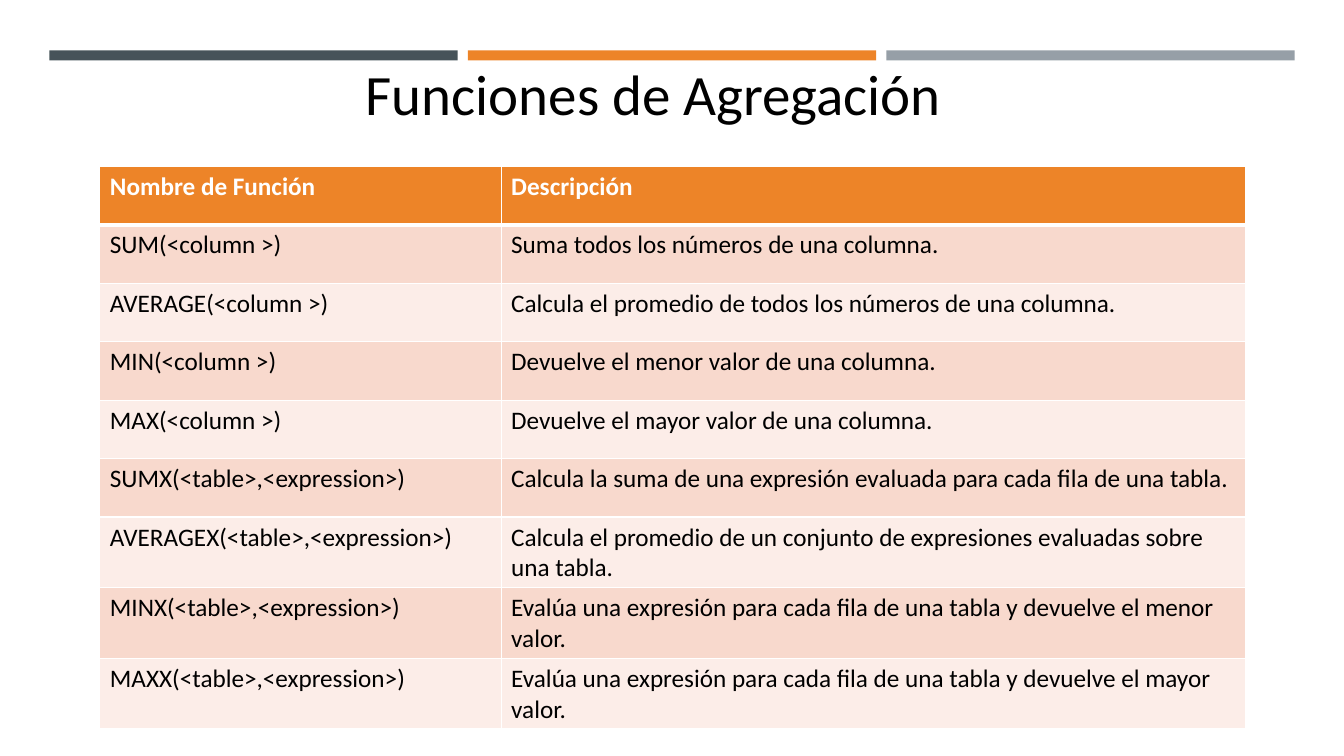
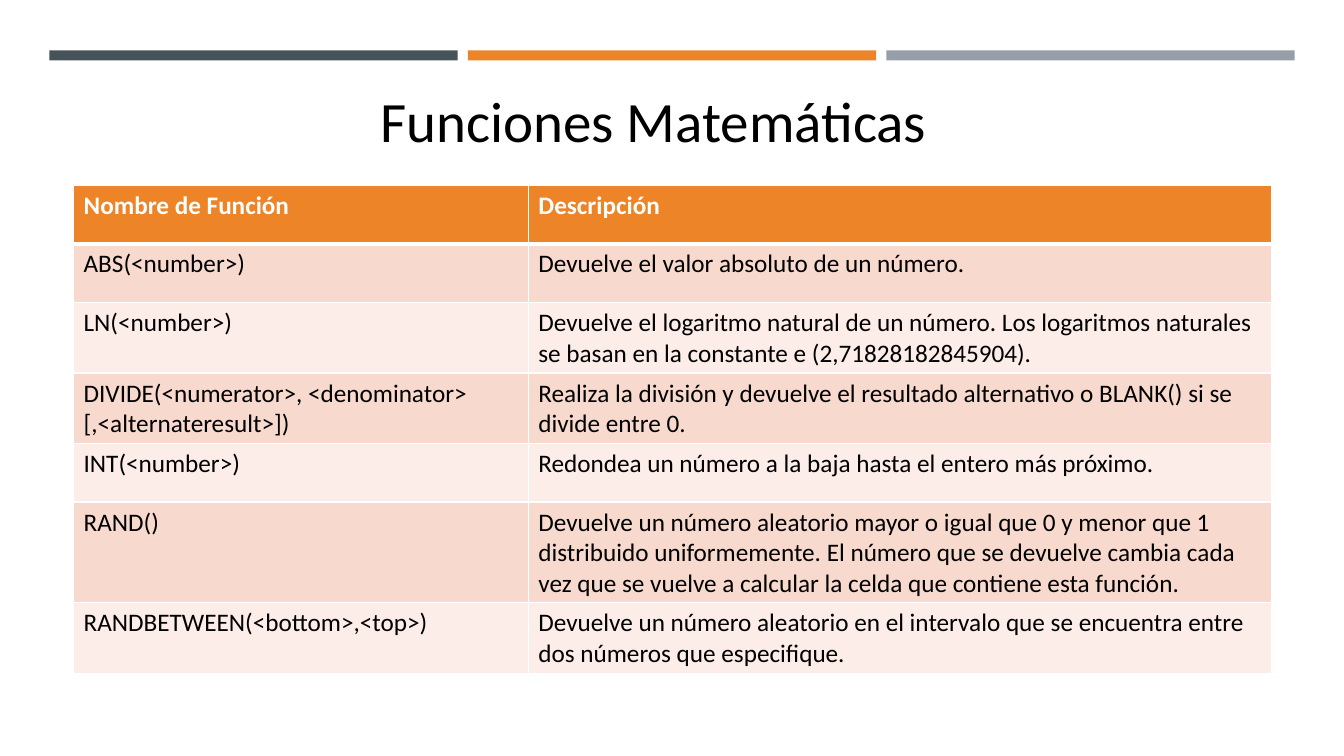
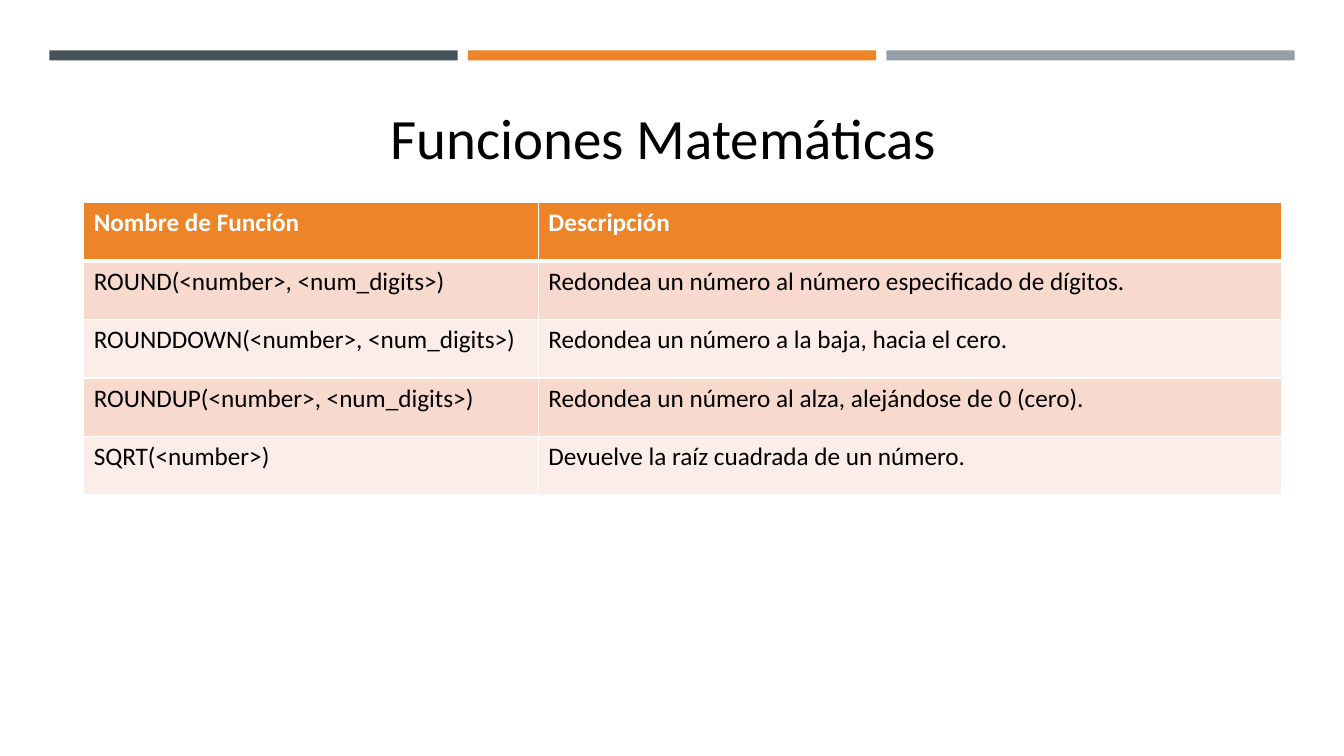
from dataclasses import dataclass

from lxml import etree
from pptx import Presentation
from pptx.dml.color import RGBColor
from pptx.enum.shapes import MSO_SHAPE
from pptx.enum.text import MSO_ANCHOR, PP_ALIGN
from pptx.oxml.ns import qn
from pptx.util import Inches, Pt

RECTANGLE = MSO_SHAPE.RECTANGLE
MIDDLE = MSO_ANCHOR.MIDDLE
CENTER = PP_ALIGN.CENTER


@dataclass(frozen=True)
class Theme:
    font: str = "Calibri"
    title_size: float = 40.7
    table_size: float = 18
    text: str = "000000"
    header_text: str = "FFFFFF"
    border: str = "FFFFFF"
    header_fill: str = "ED8428"
    row_fills: tuple = ("F8D9CD", "FCEDE8")
    bands: tuple = ("465359", "ED8428", "969FA7")
    thin_border: float = 1
    thick_border: float = 3


HEADERS = ("Nombre de Función", "Descripción")
ROW_HEIGHT = 0.58
BAND_LEFT, BAND_TOP, BAND_WIDTH, BAND_HEIGHT, BAND_GAP = 0.49, 0.5, 4.05, 0.1, 0.1

AGGREGATION = [
    ("SUM(<column >)", "Suma todos los números de una columna."),
    ("AVERAGE(<column >)", "Calcula el promedio de todos los números de una columna."),
    ("MIN(<column >)", "Devuelve el menor valor de una columna."),
    ("MAX(<column >)", "Devuelve el mayor valor de una columna."),
    ("SUMX(<table>,<expression>)",
     "Calcula la suma de una expresión evaluada para cada fila de una tabla."),
    ("AVERAGEX(<table>,<expression>)",
     "Calcula el promedio de un conjunto de expresiones evaluadas sobre una tabla."),
    ("MINX(<table>,<expression>)",
     "Evalúa una expresión para cada fila de una tabla y devuelve el menor valor."),
    ("MAXX(<table>,<expression>)",
     "Evalúa una expresión para cada fila de una tabla y devuelve el mayor valor."),
]
MATHEMATICS = [
    ("ABS(<number>)", "Devuelve el valor absoluto de un número."),
    ("LN(<number>)",
     "Devuelve el logaritmo natural de un número. Los logaritmos naturales "
     "se basan en la constante e (2,71828182845904)."),
    ("DIVIDE(<numerator>, <denominator> [,<alternateresult>])",
     "Realiza la división y devuelve el resultado alternativo o BLANK() si se "
     "divide entre 0."),
    ("INT(<number>)", "Redondea un número a la baja hasta el entero más próximo."),
    ("RAND()",
     "Devuelve un número aleatorio mayor o igual que 0 y menor que 1 distribuido "
     "uniformemente. El número que se devuelve cambia cada vez que se vuelve a "
     "calcular la celda que contiene esta función."),
    ("RANDBETWEEN(<bottom>,<top>)",
     "Devuelve un número aleatorio en el intervalo que se encuentra entre dos "
     "números que especifique."),
]
ROUNDING = [
    ("ROUND(<number>, <num_digits>)",
     "Redondea un número al número especificado de dígitos."),
    ("ROUNDDOWN(<number>, <num_digits>)", "Redondea un número a la baja, hacia el cero."),
    ("ROUNDUP(<number>, <num_digits>)",
     "Redondea un número al alza, alejándose de 0 (cero)."),
    ("SQRT(<number>)", "Devuelve la raíz cuadrada de un número."),
]


class Deck:
    def __init__(self, theme):
        self.theme = theme
        self.presentation = Presentation()
        self.presentation.slide_width = Inches(13.33)
        self.presentation.slide_height = Inches(7.5)
        self.slide = None

    def new_slide(self):
        self.slide = self.presentation.slides.add_slide(self.presentation.slide_layouts[6])
        self.bands()

    def bands(self):
        for index, color in enumerate(self.theme.bands):
            left = BAND_LEFT + index * (BAND_WIDTH + BAND_GAP)
            band = self.slide.shapes.add_shape(
                RECTANGLE, Inches(left), Inches(BAND_TOP),
                Inches(BAND_WIDTH), Inches(BAND_HEIGHT))
            band.shadow.inherit = False
            band.fill.solid()
            band.fill.fore_color.rgb = RGBColor.from_string(color)
            band.line.fill.background()

    def format_text(self, paragraph, size, color, bold=False):
        for run in paragraph.runs:
            run.font.name = self.theme.font
            run.font.size = Pt(size)
            run.font.bold = bold
            run.font.color.rgb = RGBColor.from_string(color)

    def title(self, text, left, top):
        box = self.slide.shapes.add_textbox(
            Inches(left), Inches(top), Inches(10.54), Inches(0.67))
        frame = box.text_frame
        frame.word_wrap = True
        frame.vertical_anchor = MIDDLE
        frame.text = text
        paragraph = frame.paragraphs[0]
        paragraph.alignment = CENTER
        paragraph.line_spacing = 0.8
        self.format_text(paragraph, self.theme.title_size, self.theme.text)

    def cell_borders(self, cell, row):
        """Draw thin borders, with a thick one between the header and the body."""
        thin, thick = self.theme.thin_border, self.theme.thick_border
        widths = {"a:lnL": thin, "a:lnR": thin,
                  "a:lnT": thick if row == 1 else thin,
                  "a:lnB": thick if row == 0 else thin}
        properties = cell._tc.get_or_add_tcPr()
        for tag, width in widths.items():
            line = etree.SubElement(properties, qn(tag), w=str(Pt(width)))
            fill = etree.SubElement(line, qn("a:solidFill"))
            etree.SubElement(fill, qn("a:srgbClr"), val=self.theme.border)

    def function_table(self, functions, left, top, widths):
        theme = self.theme
        rows = [HEADERS, *functions]
        table = self.slide.shapes.add_table(
            len(rows), len(widths), Inches(left), Inches(top),
            Inches(sum(widths)), Inches(ROW_HEIGHT * len(rows))).table
        for column, width in zip(table.columns, widths):
            column.width = Inches(width)
        for row, texts in enumerate(rows):
            table.rows[row].height = Inches(ROW_HEIGHT)
            is_header = row == 0
            fill = theme.header_fill if is_header else theme.row_fills[(row - 1) % 2]
            color = theme.header_text if is_header else theme.text
            for column, text in enumerate(texts):
                cell = table.cell(row, column)
                cell.text_frame.text = text
                self.format_text(cell.text_frame.paragraphs[0],
                                 theme.table_size, color, is_header)
                self.cell_borders(cell, row)
                cell.fill.solid()
                cell.fill.fore_color.rgb = RGBColor.from_string(fill)


def main():
    deck = Deck(Theme())
    math_widths = (4.51, 7.37)

    deck.new_slide()
    deck.title("Funciones de Agregación", 1.21, 0.65)
    deck.function_table(AGGREGATION, 0.99, 1.65, (3.98, 7.38))

    deck.new_slide()
    deck.title("Funciones Matemáticas", 1.21, 0.92)
    deck.function_table(MATHEMATICS, 0.73, 1.84, math_widths)

    deck.new_slide()
    deck.title("Funciones Matemáticas", 1.31, 1.08)
    deck.function_table(ROUNDING, 0.83, 2.01, math_widths)

    deck.presentation.save("out.pptx")


if __name__ == "__main__":
    main()
